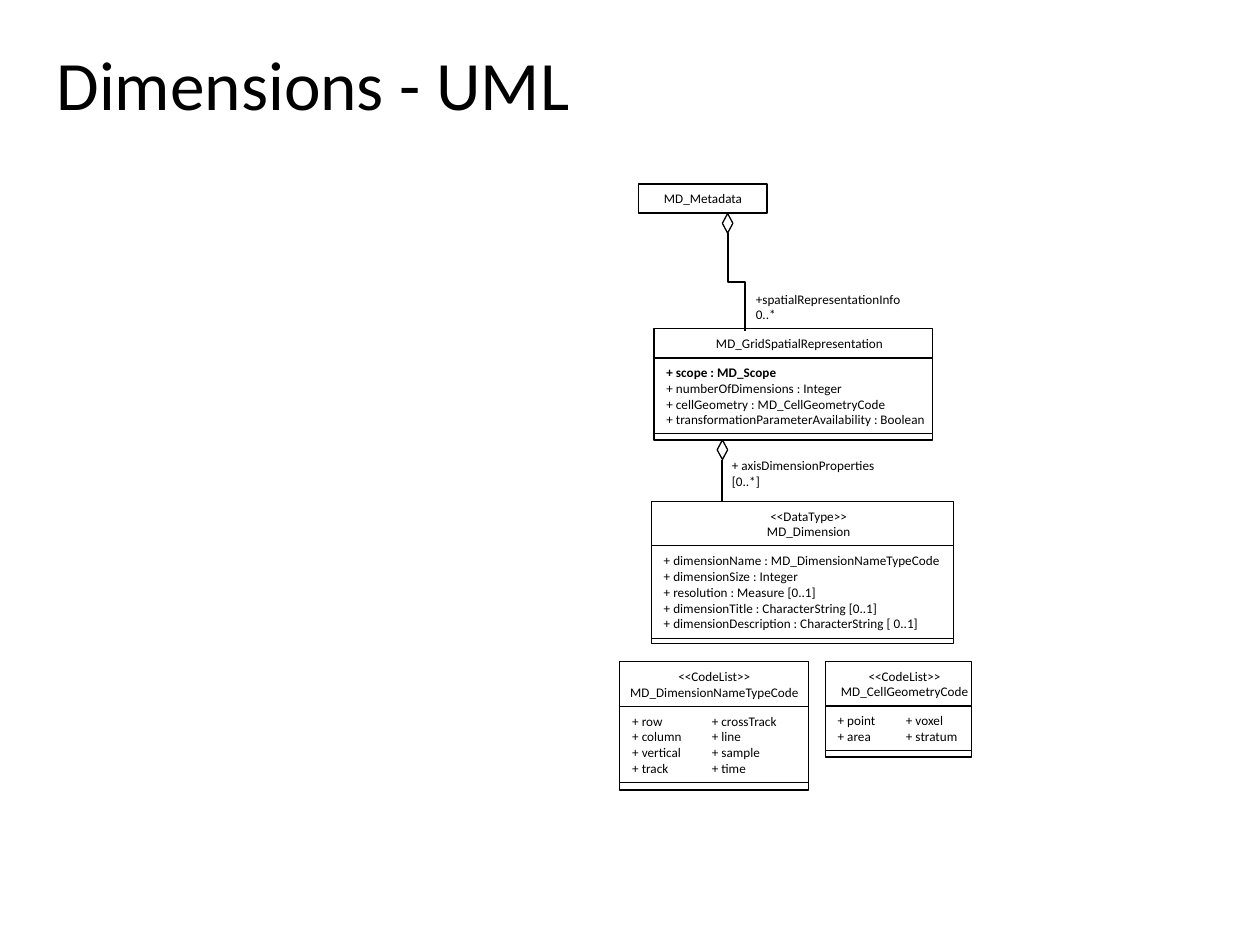
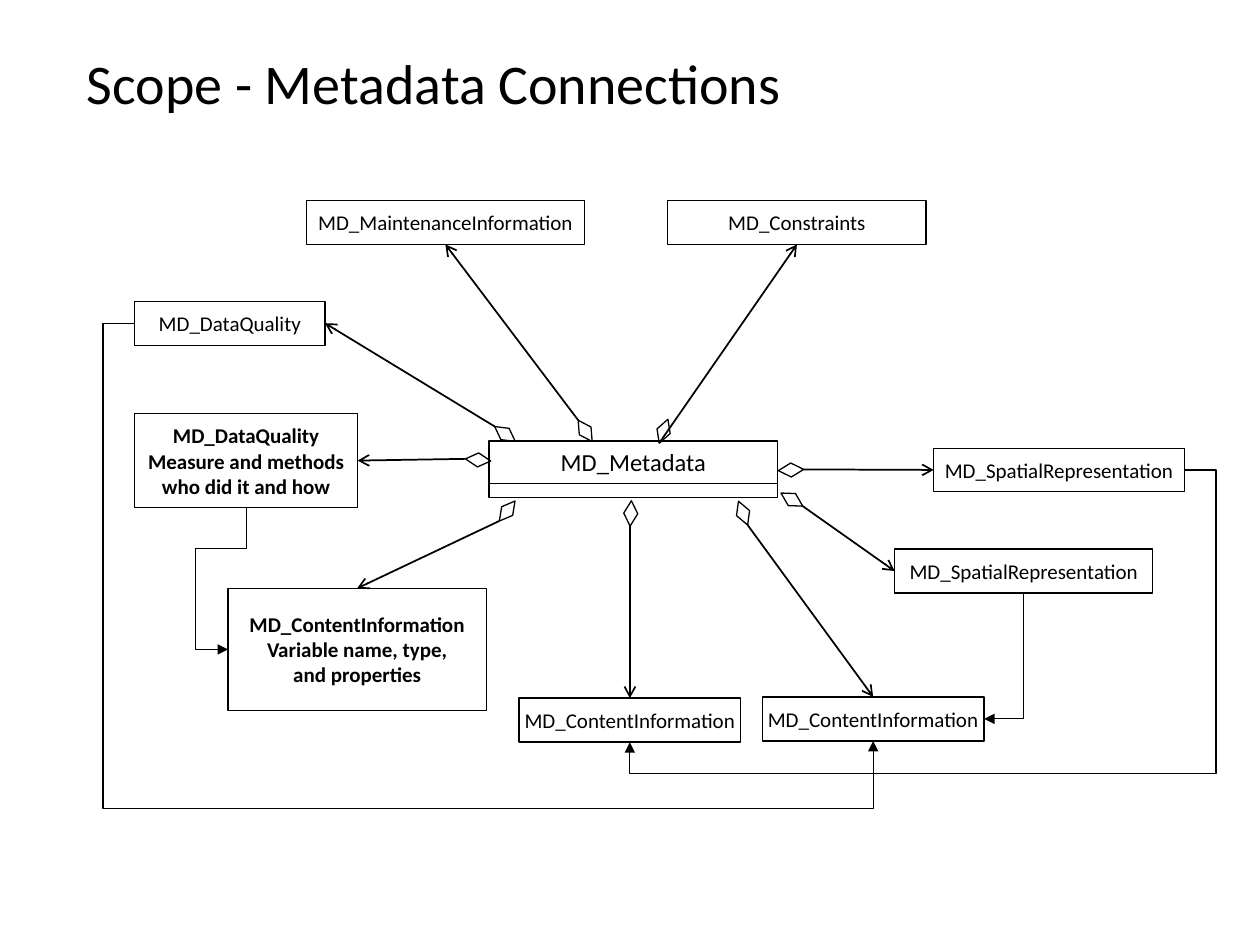
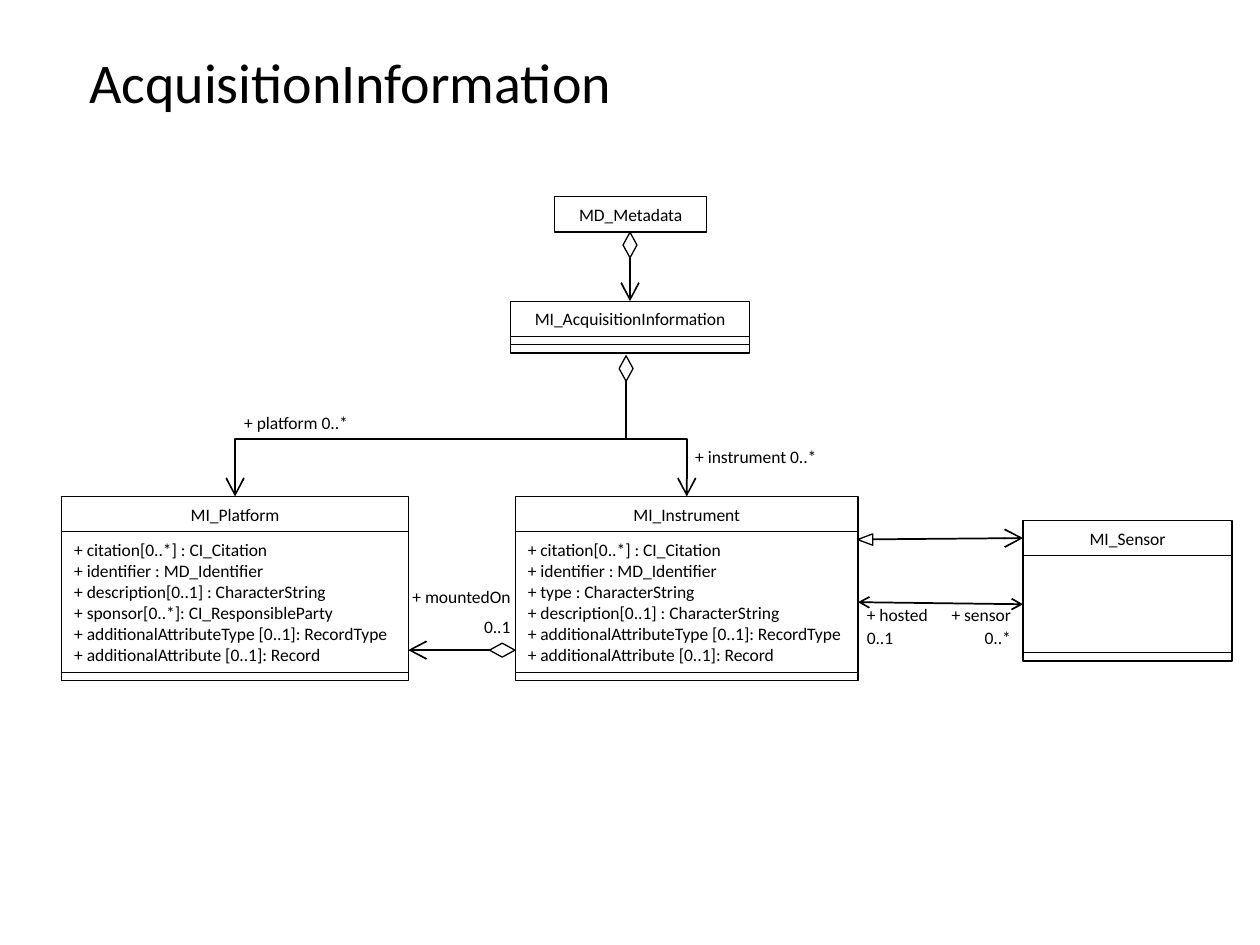
from collections import namedtuple
from math import cos, radians, sin

from lxml import etree
from pptx import Presentation
from pptx.dml.color import RGBColor
from pptx.enum.shapes import MSO_CONNECTOR, MSO_SHAPE
from pptx.enum.text import MSO_ANCHOR, PP_ALIGN
from pptx.oxml.ns import qn
from pptx.util import Pt

LEFT, CENTER, RIGHT = PP_ALIGN.LEFT, PP_ALIGN.CENTER, PP_ALIGN.RIGHT
TOP, MIDDLE = MSO_ANCHOR.TOP, MSO_ANCHOR.MIDDLE
STRAIGHT, ELBOW = MSO_CONNECTOR.STRAIGHT, MSO_CONNECTOR.ELBOW
RECTANGLE, DIAMOND = MSO_SHAPE.RECTANGLE, MSO_SHAPE.DIAMOND
TRIANGLE = MSO_SHAPE.ISOSCELES_TRIANGLE
SITE_TOP, SITE_LEFT, SITE_BOTTOM, SITE_RIGHT = range(4)

THEME = {
    "ink": RGBColor(0, 0, 0),
    "font": "Calibri",
    "outline": 0.75,
    "inset": 7.2,
    "label_gap": 5,
    "dimension_title": 39.6,
    "title": 32,
    "small": 7.5,
    "normal": 10,
    "large": 12,
    "hub": 14,
}

UmlClass = namedtuple(
    "UmlClass", "key left top width rows size right_inset tab",
    defaults=(None, THEME["inset"], 0))
Row = namedtuple("Row", "height lines bold_count", defaults=((), 0))
Marker = namedtuple("Marker", "key preset x y width height turn target", defaults=(None,))
Elbow = namedtuple("Elbow", "begin end preset adjusts turn flip", defaults=("",))
Label = namedtuple("Label", "left top width height lines align spacing", defaults=(LEFT, 1.0))

PLAIN = {"weight": 1}
OPEN_ARROW = {"weight": 1, "tail": "arrow"}
LARGE_ARROW = {"weight": 1, "tail": "arrow", "size": "lg"}
SOLID_ARROW = {"weight": 0.75, "tail": "triangle"}
TWO_WAY = {"weight": 1, "head": "arrow", "tail": "arrow"}

dimensions = {
    "title": ("Dimensions - UML", 25.2, 27.4, 352.8, 40.3, THEME["dimension_title"]),
    "size": THEME["small"],
    "classes": [
        UmlClass("metadata", 365, 105.1, 73.4, [Row(16.6, ["MD_Metadata"])]),
        UmlClass("grid", 373.7, 187.9, 159.1, [
            Row(16.6, ["MD_GridSpatialRepresentation"]),
            Row(43.4, [
                "+ scope : MD_Scope",
                "+ numberOfDimensions : Integer",
                "+ cellGeometry : MD_CellGeometryCode",
                "+ transformationParameterAvailability : Boolean"], 1),
            Row(3.6)], right_inset=0),
        UmlClass("dimension", 372.2, 286.6, 172.8, [
            Row(25.2, ["<<DataType>>", "MD_Dimension"]),
            Row(53, [
                "+ dimensionName : MD_DimensionNameTypeCode",
                "+ dimensionSize : Integer",
                "+ resolution : Measure [0..1]",
                "+ dimensionTitle : CharacterString [0..1]",
                "+ dimensionDescription : CharacterString [ 0..1]"]),
            Row(3)], right_inset=0),
        UmlClass("names", 354.2, 378, 108, [
            Row(25.7, ["<<CodeList>>", "MD_DimensionNameTypeCode"]),
            Row(43.5, [
                "+ row\t+ crossTrack",
                "+ column\t+ line",
                "+ vertical\t+ sample",
                "+ track\t+ time"]),
            Row(4.3)], tab=45.5),
        UmlClass("cells", 471.6, 378, 83.5, [
            Row(25.4, ["<<CodeList>>", "MD_CellGeometryCode"]),
            Row(25.6, ["+ point\t+ voxel", "+ area\t+ stratum"]),
            Row(3.6)], right_inset=0, tab=39),
    ],
    "markers": [
        Marker("representation", DIAMOND, 415.8, 127.6, 6, 11.2, 0),
        Marker("axis", DIAMOND, 412.8, 257, 6, 11.2, 180, (412.8, 286.6)),
    ],
    "link": PLAIN,
    "elbows": [
        Elbow(("representation", 0, SITE_BOTTOM), (425.7, 189), "bentConnector3", [0.5], 270, "H"),
    ],
    "elbow": PLAIN,
    "lines": [],
    "labels": [
        Label(411.1, 257.8, 110.9, 25.2, ["+ axisDimensionProperties [0..*]"]),
        Label(424.8, 162.7, 97.9, 25.2, ["+spatialRepresentationInfo 0..*"]),
    ],
}

scope = {
    "title": ("Scope - Metadata Connections", 42.5, 33.1, 462.2, 27.4, THEME["title"]),
    "size": THEME["large"],
    "classes": [
        UmlClass("quality", 77, 172.1, 108.7, [Row(25.2, ["MD_DataQuality"])]),
        UmlClass("maintenance", 175, 114.5, 159.1, [Row(25.2, ["MD_MaintenanceInformation"])]),
        UmlClass("constraints", 381.6, 114.5, 147.6, [Row(25.2, ["MD_Constraints"])]),
        UmlClass("upper_spatial", 533.5, 256.3, 143.3, [Row(24.5, ["MD_SpatialRepresentation"])]),
        UmlClass("lower_spatial", 511.2, 313.7, 147.6, [Row(25.2, ["MD_SpatialRepresentation"])]),
        UmlClass("measures", 77, 236.2, 127.4, [
            Row(54, ["MD_DataQuality", "Measure and methods", "who did it and how"], 3)]),
        UmlClass("variables", 130.3, 336.2, 147.6, [
            Row(69.8, ["MD_ContentInformation", "Variable name, type,", "and properties"], 3)]),
        UmlClass("left_content", 296.6, 398.9, 126.7, [Row(25.2, ["MD_ContentInformation"])]),
        UmlClass("right_content", 435.6, 398.2, 126.7, [Row(25.2, ["MD_ContentInformation"])]),
        UmlClass("metadata", 279.4, 252, 165.1, [Row(24.2, ["MD_Metadata"]), Row(8.2)], THEME["hub"]),
    ],
    "markers": [
        Marker(target[0], DIAMOND, x, y, 8, 14.5, turn, target)
        for x, y, turn, target in [
            (452, 268.6, 87.2, ("upper_spatial", 0, SITE_LEFT)),
            (334.4, 246.2, 326.6, ("maintenance", 0, SITE_BOTTOM)),
            (452.5, 285.5, 121.1, ("lower_spatial", 0, SITE_LEFT)),
            (424.6, 293.2, 159, ("right_content", 0, SITE_TOP)),
            (360.4, 293.4, 183, ("left_content", 0, SITE_TOP)),
            (289.8, 292, 218, ("variables", 0, SITE_TOP)),
            (288.6, 248, 306, ("quality", 0, SITE_RIGHT)),
            (273.2, 262.8, 274.7, ("measures", 0, SITE_RIGHT)),
            (379.2, 246.4, 200, ("constraints", 0, SITE_BOTTOM)),
        ]
    ],
    "link": OPEN_ARROW,
    "elbows": [
        Elbow(("lower_spatial", 0, SITE_BOTTOM), ("right_content", 0, SITE_RIGHT),
              "bentConnector2", [], 90),
        Elbow(("upper_spatial", 0, SITE_RIGHT), ("left_content", 0, SITE_BOTTOM),
              "bentConnector4", [-0.057, 1.116], 0, "H"),
        Elbow(("quality", 0, SITE_LEFT), ("right_content", 0, SITE_BOTTOM),
              "bentConnector4", [-0.043, 1.162], 180, "HV"),
        Elbow(("measures", 0, SITE_BOTTOM), ("variables", 0, SITE_LEFT),
              "bentConnector4", [0.285, 2.787], 90),
    ],
    "elbow": SOLID_ARROW,
    "lines": [],
    "labels": [],
}

acquisition = {
    "title": ("AcquisitionInformation", 43.9, 33.8, 346.3, 25.2, THEME["title"]),
    "size": THEME["normal"],
    "classes": [
        UmlClass("metadata", 316.8, 112.3, 87.1, [Row(20.2, ["MD_Metadata"])]),
        UmlClass("acquisition", 291.6, 172.1, 136.8, [
            Row(20.2, ["MI_AcquisitionInformation"]), Row(4.7), Row(4.7)]),
        UmlClass("platform", 35.3, 283.7, 198, [
            Row(20.2, ["MI_Platform"]),
            Row(80.4, [
                "+ citation[0..*] : CI_Citation",
                "+ identifier : MD_Identifier",
                "+ description[0..1] : CharacterString",
                "+ sponsor[0..*]: CI_ResponsibleParty",
                "+ additionalAttributeType [0..1]: RecordType",
                "+ additionalAttribute [0..1]: Record"]),
            Row(4.7)]),
        UmlClass("instrument", 294.5, 283.7, 195.8, [
            Row(20.2, ["MI_Instrument"]),
            Row(80.4, [
                "+ citation[0..*] : CI_Citation",
                "+ identifier : MD_Identifier",
                "+ type : CharacterString",
                "+ description[0..1] : CharacterString",
                "+ additionalAttributeType [0..1]: RecordType",
                "+ additionalAttribute [0..1]: Record"]),
            Row(4.7)]),
        UmlClass("sensor", 584.6, 297.4, 119.5, [Row(20.2, ["MI_Sensor"]), Row(55.4), Row(4.7)]),
    ],
    "markers": [
        Marker("information", DIAMOND, 360, 140, 8, 14.5, 180, ("acquisition", 0, SITE_TOP)),
        Marker("carriers", DIAMOND, 357.8, 210.6, 8, 14.5, 0),
        Marker("mounting", DIAMOND, 287, 371.5, 8, 14.5, 270, (233.3, 371.5)),
        Marker("inheritance", TRIANGLE, 494.4, 308.3, 6.5, 8.6, 270),
    ],
    "link": LARGE_ARROW,
    "elbows": [
        Elbow(("carriers", 0, SITE_BOTTOM), ("platform", 0, SITE_TOP), "bentConnector3", [0.5], 90),
        Elbow(("carriers", 0, SITE_BOTTOM), ("instrument", 0, SITE_TOP),
              "bentConnector3", [0.5], 270, "H"),
    ],
    "elbow": LARGE_ARROW,
    "lines": [
        ((499, 308.2), ("sensor", 0, SITE_LEFT), LARGE_ARROW),
        (("sensor", 1, SITE_LEFT), ("instrument", 1, SITE_RIGHT), TWO_WAY),
    ],
    "labels": [
        Label(132.5, 231.8, 77, 19.4, ["+ platform 0..*"]),
        Label(390.2, 251.3, 92.2, 19.4, ["+ instrument 0..*"]),
        Label(535, 344.9, 49.7, 31, ["+ sensor", "0..*"], RIGHT, 0.7),
        Label(219.6, 331.2, 79.2, 37.4, ["+ mountedOn", "0..1"], RIGHT),
        Label(488.2, 344.9, 49.7, 31, ["+ hosted", "0..1"], LEFT, 0.7),
    ],
}


def write_lines(shape, lines, size, align=LEFT, anchor=MIDDLE, wrap=True,
                right_inset=THEME["inset"], bold_count=0, tab=0, spacing=1.0, gap=0):
    frame_format = {
        "word_wrap": wrap, "vertical_anchor": anchor,
        "margin_left": Pt(THEME["inset"]), "margin_right": Pt(right_inset),
        "margin_top": Pt(3.6), "margin_bottom": Pt(3.6),
    }
    frame = shape.text_frame
    for attribute, value in frame_format.items():
        setattr(frame, attribute, value)
    for index, line in enumerate(lines):
        paragraph = frame.add_paragraph() if index else frame.paragraphs[0]
        paragraph.alignment = align
        paragraph.line_spacing = spacing
        paragraph.space_before = Pt(gap if index else 0)
        if tab:
            tab_list = etree.SubElement(paragraph._p.get_or_add_pPr(), qn("a:tabLst"))
            etree.SubElement(tab_list, qn("a:tab"), pos=str(Pt(tab)), algn="l")
        run = paragraph.add_run()
        run.text = line
        font_format = {"name": THEME["font"], "size": Pt(size), "bold": index < bold_count}
        for attribute, value in font_format.items():
            setattr(run.font, attribute, value)
        run.font.color.rgb = THEME["ink"]


def add_link(slide, parts, kind, begin, end, style):
    points = [Pt(value) for spot in (begin, end) for value in (spot if len(spot) == 2 else (0, 0))]
    link = slide.shapes.add_connector(kind, *points)
    for spot, connect in ((begin, link.begin_connect), (end, link.end_connect)):
        if len(spot) == 3:
            key, row, site = spot
            connect(parts[key][row], site)
    link.line.color.rgb = THEME["ink"]
    link.line.width = Pt(style["weight"])
    outline = link.line._get_or_add_ln()
    for side in ("head", "tail"):
        if side in style:
            size = style.get("size", "med")
            etree.SubElement(outline, qn(f"a:{side}End"), type=style[side], w=size, len=size)
    etree.SubElement(link._element.spPr, qn("a:effectLst"))
    return link


deck = Presentation()
deck.slide_width, deck.slide_height = Pt(720), Pt(540)

for diagram in (dimensions, scope, acquisition):
    slide = deck.slides.add_slide(deck.slide_layouts[6])
    heading, *title_place, title_size = diagram["title"]
    title = slide.shapes.add_textbox(*map(Pt, title_place))
    write_lines(title, [heading], title_size)

    parts = {}
    outlined = []
    for uml in diagram["classes"]:
        parts[uml.key] = []
        top = uml.top
        for index, row in enumerate(uml.rows):
            box = slide.shapes.add_shape(
                RECTANGLE, Pt(uml.left), Pt(top), Pt(uml.width), Pt(row.height))
            top += row.height
            parts[uml.key].append(box)
            outlined.append(box)
            if row.lines:
                write_lines(
                    box, row.lines, uml.size or diagram["size"],
                    align=LEFT if index else CENTER, wrap=index > 0,
                    right_inset=uml.right_inset, bold_count=row.bold_count,
                    tab=uml.tab if index else 0)

    for marker in diagram["markers"]:
        symbol = slide.shapes.add_shape(
            marker.preset, Pt(marker.x - marker.width / 2), Pt(marker.y - marker.height / 2),
            Pt(marker.width), Pt(marker.height))
        symbol.rotation = marker.turn
        parts.setdefault(marker.key, [symbol])
        outlined.append(symbol)
        if marker.target:
            angle, reach = radians(marker.turn), marker.height / 2
            tip = (marker.x + reach * sin(angle), marker.y - reach * cos(angle))
            add_link(slide, parts, STRAIGHT, tip, marker.target, diagram["link"])

    for shape in outlined:
        shape.shadow.inherit = False
        shape.fill.background()
        shape.line.color.rgb = THEME["ink"]
        shape.line.width = Pt(THEME["outline"])

    for begin, end, style in diagram["lines"]:
        add_link(slide, parts, STRAIGHT, begin, end, style)

    for elbow in diagram["elbows"]:
        link = add_link(slide, parts, ELBOW, elbow.begin, elbow.end, diagram["elbow"])
        if elbow.turn in (90, 270):
            shift = (link.width - link.height) // 2
            link.left, link.top = link.left + shift, link.top - shift
            link.width, link.height = link.height, link.width
        transform = link._element.spPr.find(qn("a:xfrm"))
        transform.set("rot", str(elbow.turn * 60000))
        for axis in "HV":
            transform.set(f"flip{axis}", str(int(axis in elbow.flip)))
        geometry = link._element.spPr.find(qn("a:prstGeom"))
        geometry.set("prst", elbow.preset)
        for number, adjust in enumerate(elbow.adjusts, 1):
            etree.SubElement(geometry.find(qn("a:avLst")), qn("a:gd"),
                             name=f"adj{number}", fmla=f"val {round(adjust * 100000)}")

    for label in diagram["labels"]:
        note = slide.shapes.add_textbox(
            Pt(label.left), Pt(label.top), Pt(label.width), Pt(label.height))
        write_lines(note, label.lines, diagram["size"], align=label.align, anchor=TOP,
                    spacing=label.spacing, gap=THEME["label_gap"])

deck.save("out.pptx")
